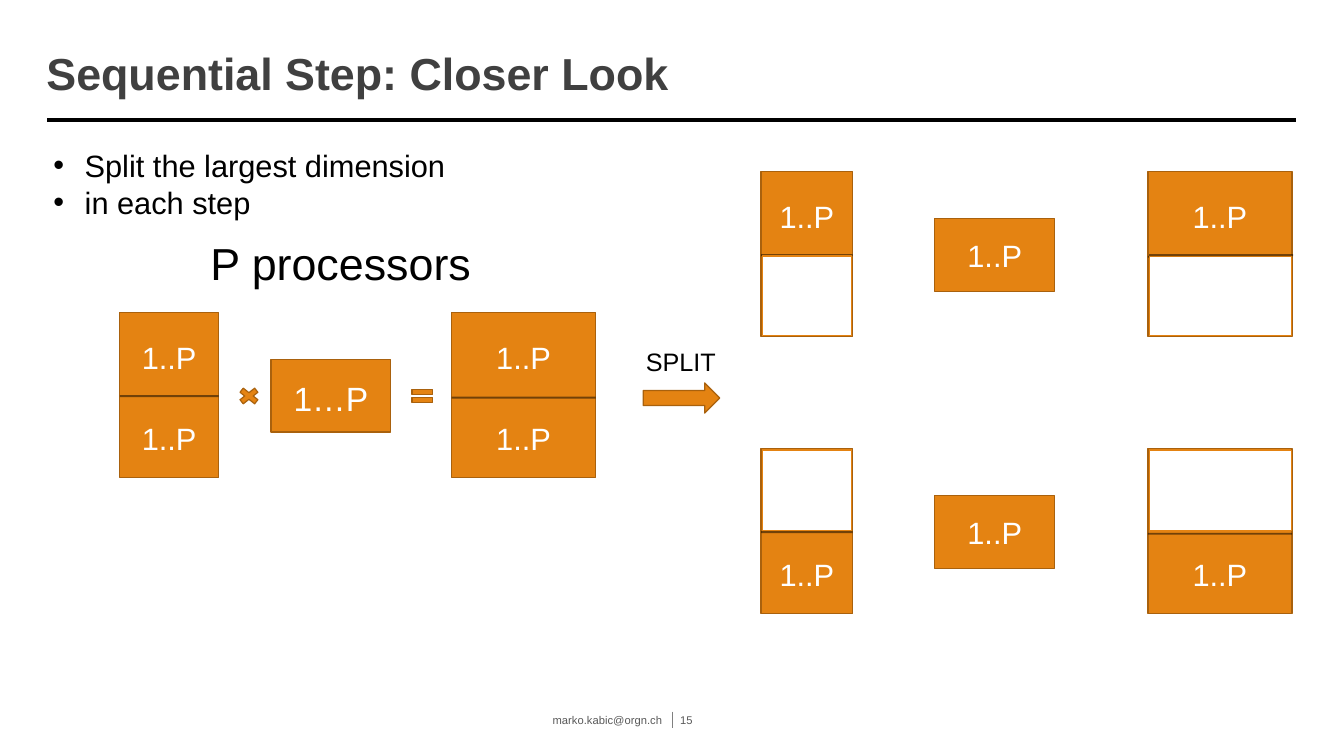
from dataclasses import dataclass

from lxml import etree
from pptx import Presentation
from pptx.dml.color import RGBColor
from pptx.enum import shapes, text
from pptx.oxml.ns import qn
from pptx.util import Cm, Pt


@dataclass(frozen=True)
class Theme:
    font: str = "Arial"
    orange: str = "E48312"
    outline: str = "A9610D"
    white: str = "FFFFFF"
    black: str = "000000"
    title_grey: str = "404040"
    footer_grey: str = "595959"
    footer_rule: str = "808080"
    heading_size: int = 32
    centre_size: int = 24
    body_size: int = 22
    split_size: int = 18
    footer_size: int = 8
    outline_width: float = 0.85
    divider_width: float = 1.35


THEME = Theme()
MATRIX_HEIGHT = 4.17
LABEL_WIDTH = 2.79
LABEL_OFFSETS = (0.53, 2.57)
BLANK_OFFSETS = (0.05, 2.13)
LEFT, CENTRE, RIGHT = text.PP_ALIGN.LEFT, text.PP_ALIGN.CENTER, text.PP_ALIGN.RIGHT


def place(shape, left, top, width, height):
    shape.left, shape.top = Cm(left), Cm(top)
    shape.width, shape.height = Cm(width), Cm(height)


def format_paragraph(paragraph, size, color, align=LEFT, bold=False):
    paragraph.alignment = align
    paragraph.space_before = Pt(0)
    font = paragraph.font
    font.name, font.size, font.bold = THEME.font, Pt(size), bold
    font.color.rgb = RGBColor.from_string(color)


def set_margins(frame, left, top, right, bottom):
    frame.margin_left, frame.margin_top = Cm(left), Cm(top)
    frame.margin_right, frame.margin_bottom = Cm(right), Cm(bottom)


def add_text(slide, box, wording, size, color, align=LEFT):
    frame = slide.shapes.add_textbox(*map(Cm, box)).text_frame
    frame.word_wrap = True
    frame.text = wording
    format_paragraph(frame.paragraphs[0], size, color, align)
    return frame


def add_block(slide, kind, box, fill=THEME.orange, line=THEME.outline):
    shape = slide.shapes.add_shape(kind, *map(Cm, box))
    shape.shadow.inherit = False
    shape.fill.solid()
    shape.fill.fore_color.rgb = RGBColor.from_string(fill)
    shape.line.color.rgb = RGBColor.from_string(line)
    shape.line.width = Pt(THEME.outline_width)


def add_line(slide, start, end, color, width):
    line = slide.shapes.add_connector(
        shapes.MSO_CONNECTOR.STRAIGHT, *map(Cm, start + end))
    line.line.color.rgb = RGBColor.from_string(color)
    line.line.width = Pt(width)
    etree.SubElement(line._element.spPr, qn("a:effectLst"))
    return line


def add_divider(slide, left, top, width):
    """Draw a half-transparent line across a matrix."""
    line = add_line(slide, (left, top), (left + width, top),
                    THEME.black, THEME.divider_width)
    color = next(line._element.spPr.iter(qn("a:srgbClr")))
    etree.SubElement(color, qn("a:alpha"), val="50000")


def add_label(slide, left, top, width, wording="1..P", size=THEME.body_size):
    """Centre a white label on a block of the given left edge and width."""
    box = (left + (width - LABEL_WIDTH) / 2, top, LABEL_WIDTH, 1.19)
    add_text(slide, box, wording, size, THEME.white, CENTRE)


def add_split_matrix(slide, left, top, width, filled, divider):
    """Draw a matrix in two halves; a half that is not filled is blanked out."""
    rectangle = shapes.MSO_SHAPE.RECTANGLE
    add_block(slide, rectangle, (left, top, width, MATRIX_HEIGHT))
    add_divider(slide, left, top + divider, width)
    for is_filled, label, blank in zip(filled, LABEL_OFFSETS, BLANK_OFFSETS):
        if is_filled:
            add_label(slide, left, top + label, width)
        else:
            add_block(slide, rectangle, (left + 0.03, top + blank, width - 0.05, 2.01),
                      THEME.white, THEME.orange)


def add_product(slide, top, lefts, first_width, filled,
                wording="1..P", size=THEME.body_size):
    """Draw the two factors and the result of a matrix product."""
    first, second, result = lefts
    add_split_matrix(slide, first, top, first_width, filled, 2.11)
    add_block(slide, shapes.MSO_SHAPE.RECTANGLE, (second, top + 1.19, 3.02, 1.83))
    add_label(slide, second, top + 1.53, 3.02, wording, size)
    add_split_matrix(slide, result, top, 3.63, filled, 2.15)


def fill_title(slide):
    title = slide.shapes.title
    place(title, 1.17, 0.33, 31.47, 2.39)
    frame = title.text_frame
    frame.text = "Sequential Step: Closer Look"
    frame.auto_size = text.MSO_AUTO_SIZE.NONE
    frame.vertical_anchor = text.MSO_ANCHOR.BOTTOM
    set_margins(frame, 0, 0.13, 0, 0.2)
    format_paragraph(frame.paragraphs[0], THEME.heading_size, THEME.title_grey, bold=True)


def fill_body(slide):
    body = slide.placeholders[1]
    place(body, 1.09, 3.56, 10.87, 2.13)
    frame = body.text_frame
    frame.text = "Split the largest dimension\nin each step"
    frame.auto_size = text.MSO_AUTO_SIZE.NONE
    for paragraph in frame.paragraphs:
        format_paragraph(paragraph, THEME.body_size, THEME.black)
        properties = paragraph._p.get_or_add_pPr()
        properties.set("marL", str(Cm(0.79)))
        properties.set("indent", str(-Cm(0.79)))
        bullet = etree.Element(qn("a:buChar"), char="•")
        properties.find(qn("a:defRPr")).addprevious(bullet)


def add_footer(slide):
    add_line(slide, (16.94, 17.93), (16.94, 18.34), THEME.footer_rule, 0.75)
    parts = (
        (5.46, 11.43, "marko.kabic@orgn.ch", RIGHT, (0, 0, 0.2, 0)),
        (16.94, 1.07, "15", LEFT, (0.2, 0, 0, 0)),
    )
    for left, width, wording, align, margins in parts:
        frame = add_text(slide, (left, 17.93, width, 0.41), wording,
                         THEME.footer_size, THEME.footer_grey, align)
        frame.vertical_anchor = text.MSO_ANCHOR.MIDDLE
        set_margins(frame, *margins)


def main():
    presentation = Presentation()
    presentation.slide_width, presentation.slide_height = Cm(33.87), Cm(19.05)
    slide = presentation.slides.add_slide(presentation.slide_layouts[1])

    fill_title(slide)
    add_line(slide, (1.19, 3.02), (32.66, 3.02), THEME.black, 3)
    fill_body(slide)

    add_text(slide, (5.05, 5.82, 8.38, 1.63), "P processors",
             THEME.heading_size, THEME.black)
    add_product(slide, 7.87, (3.02, 6.83, 11.38), 2.49, (True, True),
                "1…P", THEME.centre_size)
    add_block(slide, shapes.MSO_SHAPE.MATH_MULTIPLY, (5.92, 9.7, 0.71, 0.56))
    add_block(slide, shapes.MSO_SHAPE.MATH_EQUAL, (10.29, 9.7, 0.71, 0.56))

    add_text(slide, (15.93, 8.61, 2.46, 1.02), "SPLIT",
             THEME.split_size, THEME.black, CENTRE)
    add_block(slide, shapes.MSO_SHAPE.RIGHT_ARROW, (16.21, 9.65, 1.93, 0.76))

    split_lefts = (19.18, 23.56, 28.93)
    add_product(slide, 4.32, split_lefts, 2.31, (True, False))
    add_divider(slide, 28.96, 6.43, 3.63)
    add_product(slide, 11.3, split_lefts, 2.31, (False, True))

    add_footer(slide)
    presentation.save("out.pptx")


if __name__ == "__main__":
    main()
